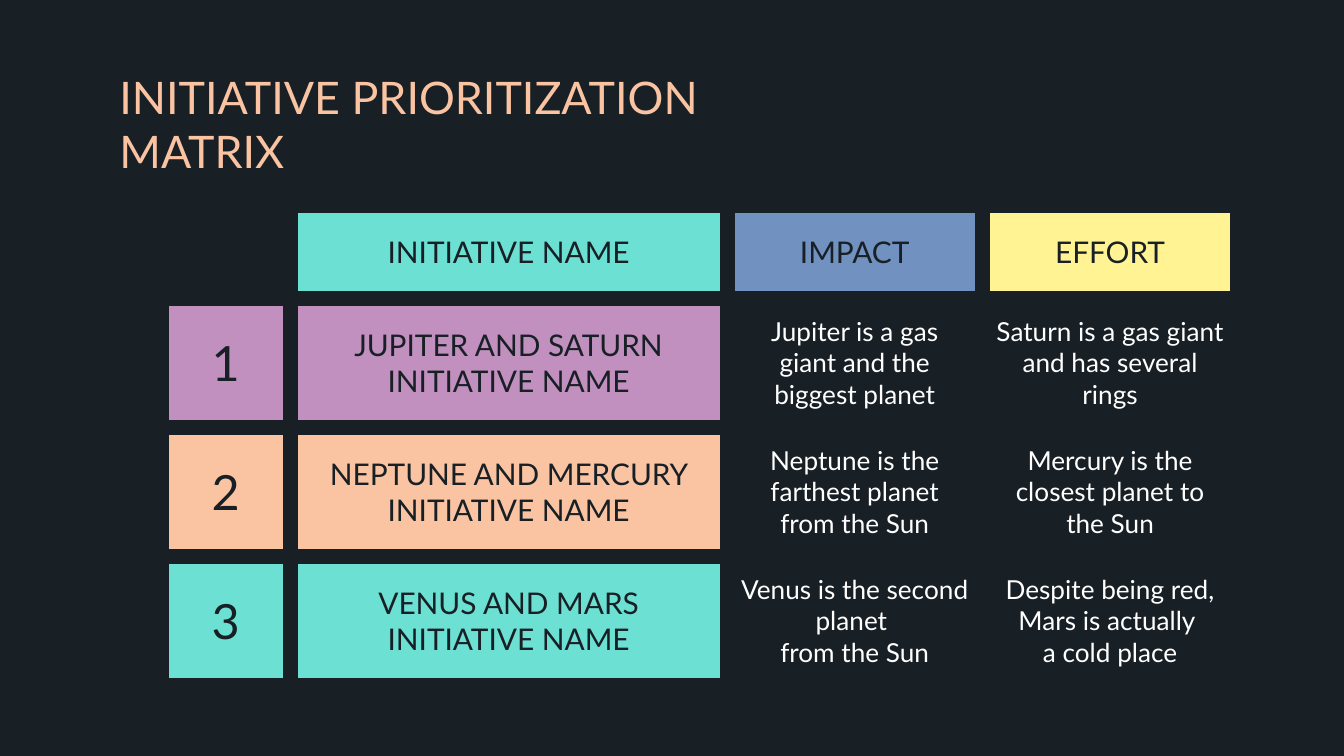
from dataclasses import dataclass
from typing import Optional

from lxml import etree
from pptx import Presentation, util as u
from pptx.dml.color import RGBColor
from pptx.enum import text
from pptx.oxml.ns import qn

WIDTH = 10
HEIGHT = WIDTH * 9 / 16
FONT = "Lato"
DARK, WHITE = "182026", "FFFFFF"
TEAL, BLUE, YELLOW, PURPLE, PEACH = "6CE0D3", "7191C0", "FFF393", "C190BF", "FAC4A2"
COLUMNS = (0.96, 3.25, 1.9, 1.9)
ROWS = (0.69, 0.96, 0.96, 0.96)
TABLE_LEFT, TABLE_TOP = 1.2, 1.53
GAP = 9  # border width in points, reads as the space between cells


@dataclass
class Header:
    label: str
    fill: Optional[str]


@dataclass
class Initiative:
    name: str
    impact: str
    effort: str
    fill: str


HEADERS = [
    Header("", None),
    Header("INITIATIVE NAME", TEAL),
    Header("IMPACT", BLUE),
    Header("EFFORT", YELLOW),
]
INITIATIVES = [
    Initiative("JUPITER AND SATURN INITIATIVE NAME",
               "Jupiter is a gas giant and the biggest planet",
               "Saturn is a gas giant and has several rings", PURPLE),
    Initiative("NEPTUNE AND MERCURY INITIATIVE NAME",
               "Neptune is the farthest planet from the Sun",
               "Mercury is the closest planet to the Sun", PEACH),
    Initiative("VENUS AND MARS INITIATIVE NAME",
               "Venus is the second planet \vfrom the Sun",
               "Despite being red, Mars is actually \va cold place", TEAL),
]


def color(value: str) -> RGBColor:
    return RGBColor.from_string(value)


def write(frame, words: str, *, size: float, ink: str, align=text.PP_ALIGN.LEFT) -> None:
    """Fill a text frame; a vertical tab in the words is a line break."""
    frame.word_wrap = True
    para = frame.paragraphs[0]
    para.text = words
    para.alignment = align
    for span in para.runs:
        span.font.name = FONT
        span.font.size = u.Pt(size)
        span.font.color.rgb = color(ink)


def set_margins(target) -> None:
    for side in ("left", "top", "right", "bottom"):
        setattr(target, f"margin_{side}", u.Inches(0.1))


def add_borders(cell) -> None:
    properties = cell._tc.get_or_add_tcPr()
    for index, side in enumerate(("lnL", "lnR", "lnT", "lnB")):
        line = etree.Element(qn(f"a:{side}"), w=str(u.Pt(GAP)))
        fill = etree.SubElement(line, qn("a:solidFill"))
        etree.SubElement(fill, qn("a:srgbClr"), val=DARK)
        properties.insert(index, line)


def fill_cell(cell, words: str, fill: Optional[str], size: float = 16, ink: str = DARK) -> None:
    set_margins(cell)
    cell.vertical_anchor = text.MSO_ANCHOR.MIDDLE
    if fill:
        cell.fill.solid()
        cell.fill.fore_color.rgb = color(fill)
    else:
        cell.fill.background()
    add_borders(cell)
    write(cell.text_frame, words, size=size, ink=ink, align=text.PP_ALIGN.CENTER)


def add_title(page) -> None:
    box = page.shapes.add_textbox(u.Inches(0.79), u.Inches(0.42), u.Inches(4.89), u.Inches(0.93))
    set_margins(box.text_frame)
    write(box.text_frame, "INITIATIVE PRIORITIZATION MATRIX", size=24, ink=PEACH)


def add_matrix(page) -> None:
    table = page.shapes.add_table(
        len(ROWS), len(COLUMNS), u.Inches(TABLE_LEFT), u.Inches(TABLE_TOP),
        u.Inches(sum(COLUMNS)), u.Inches(sum(ROWS))).table
    table.first_row = table.horz_banding = False
    for column, width in zip(table.columns, COLUMNS):
        column.width = u.Inches(width)
    for row, height in zip(table.rows, ROWS):
        row.height = u.Inches(height)
    for index, header in enumerate(HEADERS):
        fill_cell(table.cell(0, index), header.label, header.fill)
    for number, item in enumerate(INITIATIVES, start=1):
        fill_cell(table.cell(number, 0), str(number), item.fill, size=26)
        fill_cell(table.cell(number, 1), item.name, item.fill)
        for index, words in enumerate((item.impact, item.effort), start=2):
            fill_cell(table.cell(number, index), words, None, size=14, ink=WHITE)


def main() -> None:
    deck = Presentation()
    deck.slide_width, deck.slide_height = u.Inches(WIDTH), u.Inches(HEIGHT)
    page = deck.slides.add_slide(deck.slide_layouts[6])
    page.background.fill.solid()
    page.background.fill.fore_color.rgb = color(DARK)
    add_title(page)
    add_matrix(page)
    deck.save("out.pptx")


if __name__ == "__main__":
    main()
